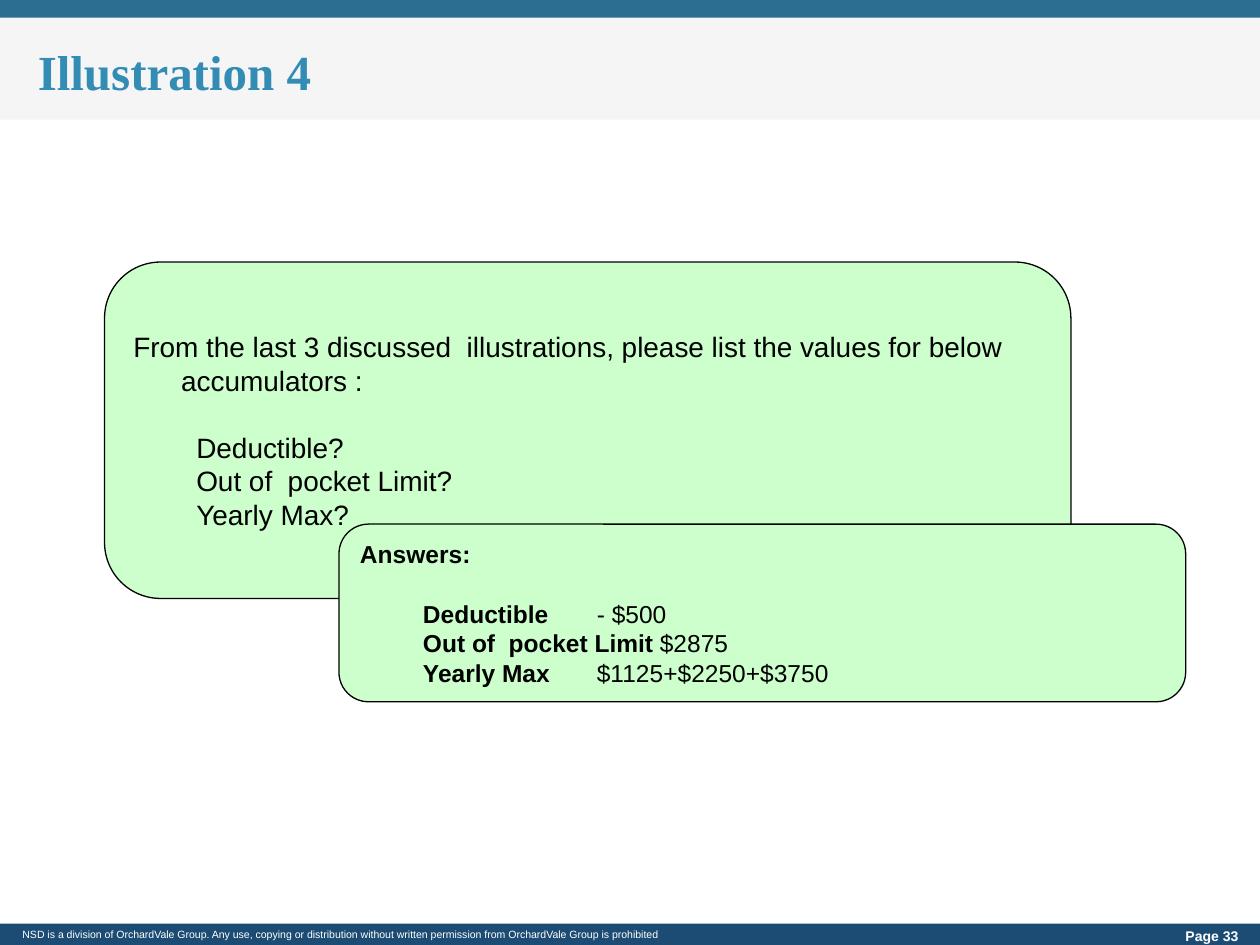
from pptx import Presentation
from pptx.dml.color import RGBColor as RGB
from pptx.enum.shapes import MSO_SHAPE as Shape
from pptx.enum.text import MSO_ANCHOR as Anchor, PP_ALIGN as Align
from pptx.oxml.ns import qn
from pptx.util import Inches, Pt
from lxml.etree import SubElement

COLORS = {"band": "F5F5F5", "top": "2C6D92", "foot": "1C4C74", "title": "328CB4",
          "card": "CCFFCC", "ink": "000000", "white": "FFFFFF"}


def color(name):
    return RGB.from_string(COLORS[name])


def style(font, tone, **values):
    font.color.rgb = color(tone)
    for key, value in values.items():
        setattr(font, key, value)


def add_box(slide, kind, place, fill):
    box = slide.shapes.add_shape(kind, *map(Inches, place))
    box.shadow.inherit = False
    box.fill.solid()
    box.fill.fore_color.rgb = color(fill)
    box.line.fill.background()
    return box


def add_note(slide, place, text, size, bold=False):
    frame = slide.shapes.add_textbox(*map(Inches, place)).text_frame
    frame.word_wrap = True
    para = frame.paragraphs[0]
    para.text = text
    style(para.font, "white", name="Arial", size=Pt(size), bold=bold)


def set_title(slide, text):
    title = slide.shapes.title
    place = {"left": 0.2, "top": 0.23, "width": 7.88, "height": 0.66}
    for key, value in place.items():
        setattr(title, key, Inches(value))
    frame = title.text_frame
    frame.text = text
    frame.vertical_anchor = Anchor.MIDDLE
    para = frame.paragraphs[0]
    para.alignment = Align.LEFT
    style(para.font, "title", name="Times New Roman", size=Pt(28), bold=True)
    # Bring the title in front of the header band
    slide.shapes._spTree.append(title._element)


def set_indent(para, left, stop=None):
    """Hang the first line by 0.38 inch and set one tab stop if given."""
    props = para._p.get_or_add_pPr()
    props.set("marL", str(Inches(left)))
    props.set("indent", str(Inches(-0.38)))
    if stop:
        tabs = SubElement(props, qn("a:tabLst"))
        SubElement(tabs, qn("a:tab"), pos=str(Inches(stop)), algn="l")


def add_card(slide, place, size, gap, head, rows, bold=False):
    """Rows are (label, value, tab stop); the value and stop may be None."""
    card = add_box(slide, Shape.ROUNDED_RECTANGLE, place, "card")
    card.line.color.rgb = color("ink")
    card.line.width = Pt(0.75)
    frame = card.text_frame
    frame.word_wrap = True
    frame.vertical_anchor = Anchor.MIDDLE
    for i, (label, value, stop) in enumerate([(head, None, None)] + rows):
        para = frame.add_paragraph() if i else frame.paragraphs[0]
        para.alignment = Align.LEFT
        set_indent(para, 0.88 if i else 0.38, stop)
        if i == 1:
            para.space_before = Pt(gap)
        parts = [(label, bold)]
        if value:
            parts.append(("\t" + value, False))
        for text, heavy in parts:
            run = para.add_run()
            run.text = text
            style(run.font, "ink", name="Arial", size=Pt(size), bold=heavy)


def main():
    deck = Presentation()
    deck.slide_width, deck.slide_height = Inches(10), Inches(7.5)
    slide = deck.slides.add_slide(deck.slide_layouts[5])
    bars = [(0, 0.95, "band"), (0, 0.14, "top"), (7.33, 0.17, "foot")]
    for top, height, fill in bars:
        add_box(slide, Shape.RECTANGLE, (0, top, 10, height), fill)
    add_note(slide, (0.08, 7.32, 8.03, 0.2),
             "NSD is a division of OrchardVale Group. Any use, copying or distribution "
             "without written permission from OrchardVale Group is prohibited", 6)
    add_note(slide, (9.31, 7.31, 0.85, 0.27), "Page 33", 8, bold=True)
    set_title(slide, "Illustration 4")
    asked = ["Deductible?", "Out of  pocket Limit?", "Yearly Max?"]
    add_card(slide, (0.83, 2.08, 7.67, 2.67), 16, 19,
             "From the last 3 discussed  illustrations, please list the values "
             "for below accumulators :", [(text, None, None) for text in asked])
    add_card(slide, (2.69, 4.16, 6.72, 1.41), 14, 17.5, "Answers:",
             [("Deductible", "- $500", 2),
              ("Out of  pocket Limit", "$2875", 3.11),
              ("Yearly Max", "$1125+$2250+$3750", 2.11)], bold=True)
    deck.save("out.pptx")


if __name__ == "__main__":
    main()
